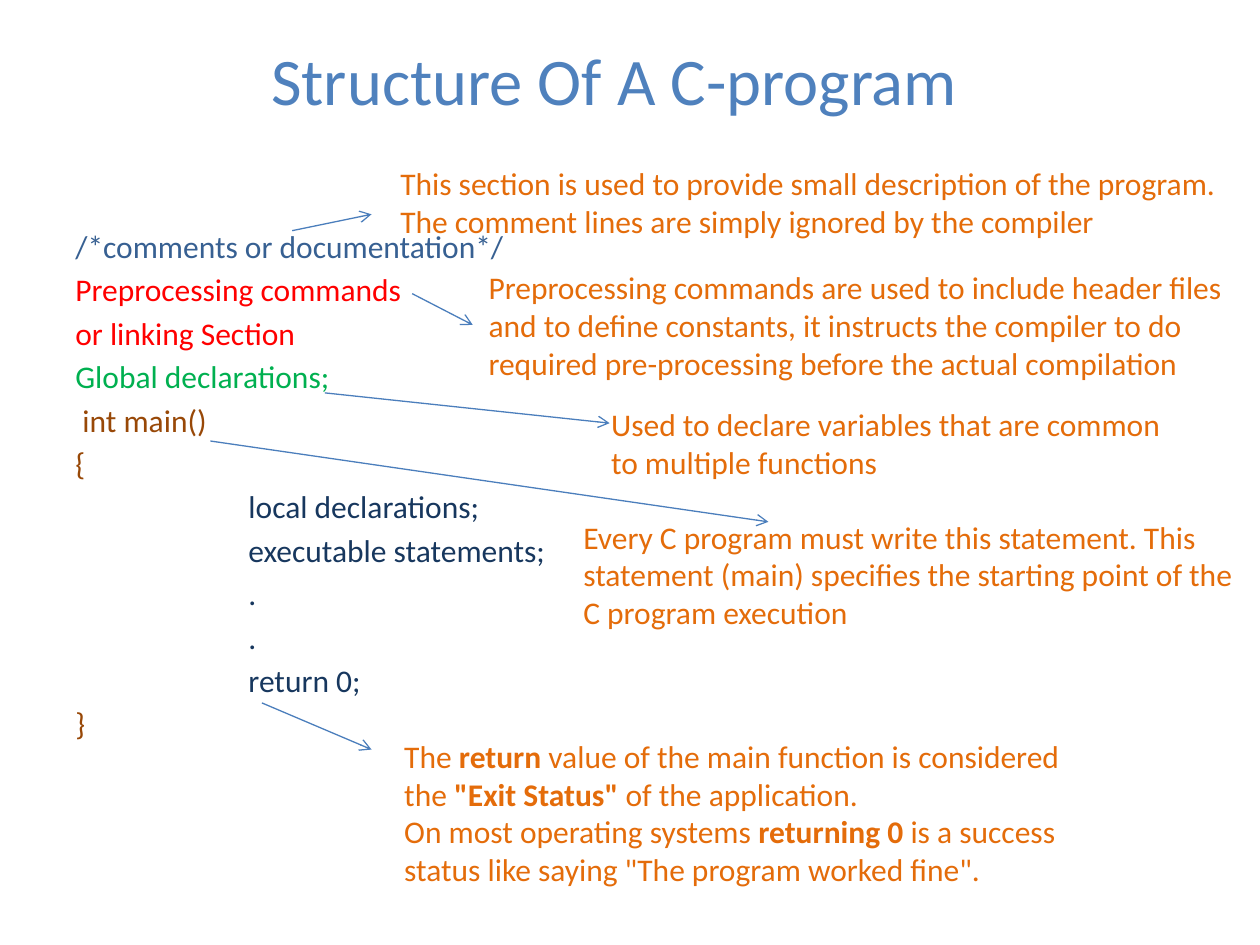
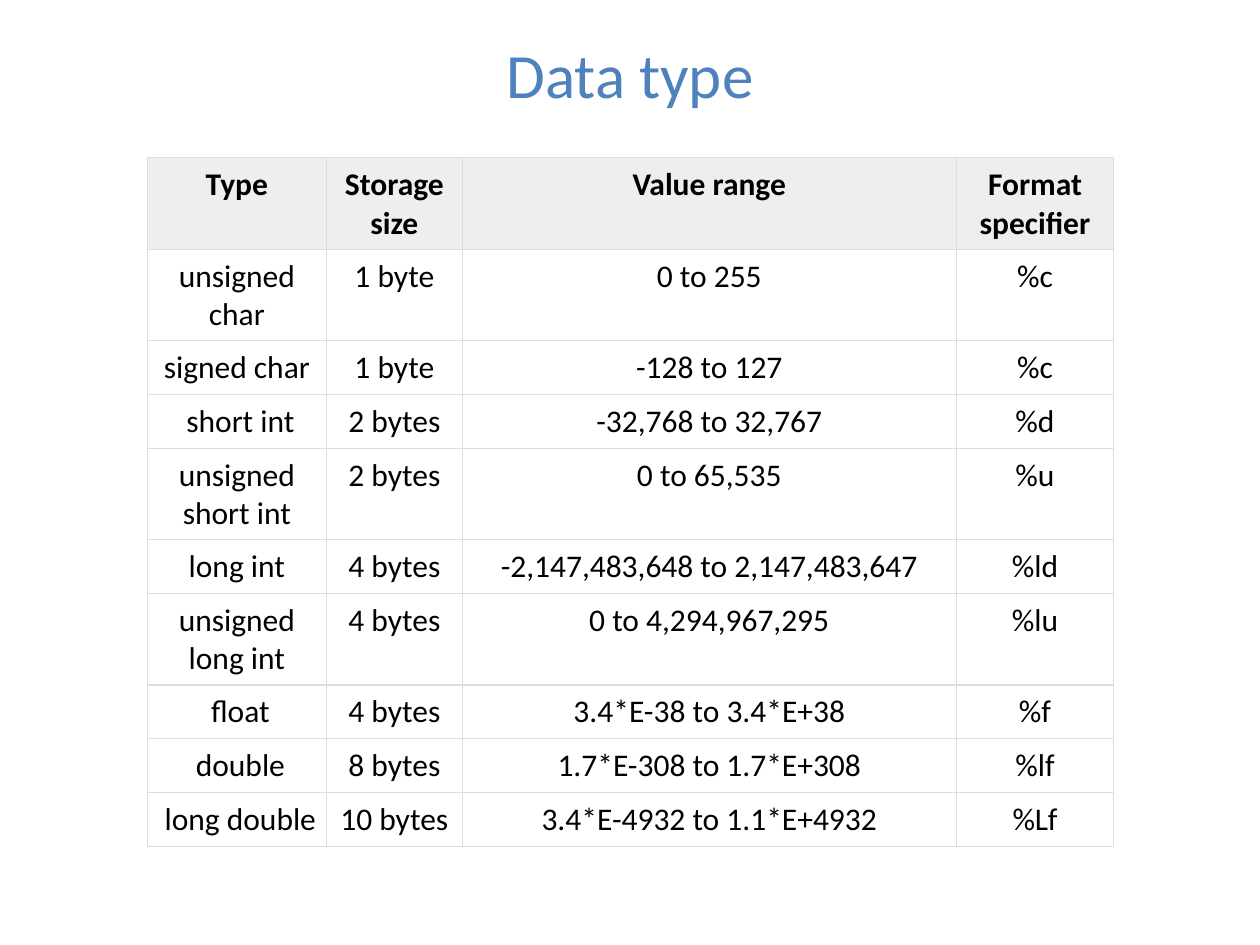
from dataclasses import dataclass
from lxml.etree import SubElement
from pptx import Presentation
from pptx.dml.color import RGBColor
from pptx.enum.shapes import MSO_CONNECTOR
from pptx.enum.text import MSO_ANCHOR, PP_ALIGN
from pptx.oxml.ns import qn
from pptx.util import Cm, Pt


@dataclass(frozen=True)
class Theme:
    font: str = "Calibri"
    body: int = 18
    title: str = "4F81BD"
    note: str = "E46C0A"
    arrow: str = "4B7EBC"
    doc: str = "376092"
    link: str = "FF0000"
    scope: str = "00B050"
    main: str = "984807"
    local: str = "17375E"
    ink: str = "000000"
    head: str = "EEEEEE"
    grid: str = "DDDDDD"
    line: float = 0.75


THEME = Theme()

# Code lines: text, colour, nested in the main block
CODE = [
    ("/*comments or documentation*/", THEME.doc, False),
    ("Preprocessing commands", THEME.link, False),
    ("or linking Section", THEME.link, False),
    ("Global declarations;", THEME.scope, False),
    (" int main()", THEME.main, False),
    ("{", THEME.main, False),
    ("local declarations;", THEME.local, True),
    ("executable statements;", THEME.local, True),
    (".", THEME.local, True),
    (".", THEME.local, True),
    ("return 0;", THEME.local, True),
    ("}", THEME.main, False),
]

# Notes: arrow ends, text box, paragraphs with **bold** parts
NOTES = [
    ((5.89, 4.65, 7.49, 4.32), (7.82, 3.18, 17.07, 1.8),
     ["This section is used to provide small description of the program. "
      "The comment lines are simply ignored by the compiler"]),
    ((8.31, 5.92, 9.53, 6.55), (9.6, 5.28, 15.8, 2.57),
     ["Preprocessing commands are used to include header files and to define "
      "constants, it instructs the compiler to do required pre-processing "
      "before the actual compilation"]),
    ((6.55, 7.92, 12.29, 8.53), (12.07, 8.05, 11.68, 1.8),
     ["Used to declare variables that are common to multiple functions"]),
    ((4.24, 8.89, 15.49, 10.52), (11.51, 10.31, 13.89, 2.57),
     ["Every C program must write this statement. This statement (main) "
      "specifies the starting point of the C program execution"]),
    ((5.28, 14.17, 7.49, 15.11), (7.9, 14.73, 14.2, 3.33),
     ["The **return**\u00a0value of the main function is considered the "
      "**\"Exit Status\" **of the application. ",
      "On most operating systems\u00a0**returning 0**\u00a0is a success status "
      "like saying \"The program worked fine\"."]),
]

TYPES = [
    ("Type", "Storage size", "Value range", "Format specifier"),
    ("unsigned char", "1 byte", "0 to 255", "%c"),
    ("signed char", "1 byte", "-128 to 127", "%c"),
    (" short int", "2 bytes", "-32,768 to 32,767", "%d"),
    ("unsigned short int", "2 bytes", "0 to 65,535", "%u"),
    ("long int", "4 bytes", "-2,147,483,648 to 2,147,483,647", "%ld"),
    ("unsigned long int", "4 bytes", "0 to 4,294,967,295", "%lu"),
    (" float", "4 bytes", "3.4*E-38 to 3.4*E+38", "%f"),
    (" double", "8 bytes", "1.7*E-308 to 1.7*E+308", "%lf"),
    (" long double", "10 bytes", "3.4*E-4932 to 1.1*E+4932", "%Lf"),
]
COLS = [3.61, 2.74, 9.96, 3.17]
ROWS = [1.27, 1.12, 1.02, 1.02, 1.12, 1.02, 1.07, 1.07, 1.07, 1.07]


def style(run, color, size=THEME.body, bold=False):
    font = run.font
    font.name, font.size, font.bold = THEME.font, Pt(size), bold
    font.color.rgb = RGBColor.from_string(color)


def add_box(slide, area):
    box = slide.shapes.add_textbox(*map(Cm, area))
    box.text_frame.word_wrap = True
    return box.text_frame


def add_title(slide, text, area, size):
    frame = add_box(slide, area)
    frame.vertical_anchor = MSO_ANCHOR.MIDDLE
    frame.text = text
    para = frame.paragraphs[0]
    para.alignment = PP_ALIGN.CENTER
    style(para.runs[0], THEME.title, size)


def add_code(slide, lines, area):
    frame = add_box(slide, area)
    frame.text = "\n".join(text for text, _, _ in lines)
    for para, (_, color, nested) in zip(frame.paragraphs, lines):
        para.space_before = Pt(3.2)
        if nested:
            para._p.get_or_add_pPr().set("marL", str(Cm(3.49)))
        style(para.runs[0], color)


def add_note(slide, paras, area):
    frame = add_box(slide, area)
    for i, text in enumerate(paras):
        para = frame.add_paragraph() if i else frame.paragraphs[0]
        for j, part in enumerate(text.split("**")):
            run = para.add_run()
            run.text = part
            style(run, THEME.note, bold=j % 2 == 1)


def add_arrow(slide, ends):
    arrow = slide.shapes.add_connector(MSO_CONNECTOR.STRAIGHT, *map(Cm, ends))
    arrow.line.color.rgb = RGBColor.from_string(THEME.arrow)
    arrow.line.width = Pt(THEME.line)
    SubElement(arrow.line._get_or_add_ln(), qn("a:tailEnd"), type="arrow")
    SubElement(arrow._element.spPr, qn("a:effectLst"))


def add_edges(cell):
    props = cell._tc.get_or_add_tcPr()
    for side in ("lnL", "lnR", "lnT", "lnB"):
        edge = SubElement(props, qn("a:" + side), w=str(Pt(THEME.line)))
        fill = SubElement(edge, qn("a:solidFill"))
        SubElement(fill, qn("a:srgbClr"), val=THEME.grid)


def fill_cell(cell, text, head):
    cell.text_frame.text = text
    cell.margin_left = cell.margin_right = Cm(0.16)
    cell.margin_top = cell.margin_bottom = Cm(0.16)
    para = cell.text_frame.paragraphs[0]
    para.alignment = PP_ALIGN.CENTER
    style(para.runs[0], THEME.ink, bold=head)
    add_edges(cell)
    if head:
        cell.fill.solid()
        cell.fill.fore_color.rgb = RGBColor.from_string(THEME.head)
    else:
        cell.fill.background()


def add_grid(slide, data, area):
    frame = slide.shapes.add_table(len(data), len(data[0]), *map(Cm, area))
    table = frame.table
    table.first_row = table.horz_banding = False
    for col, width in zip(table.columns, COLS):
        col.width = Cm(width)
    for i, (row, height) in enumerate(zip(table.rows, ROWS)):
        row.height = Cm(height)
        for cell, text in zip(row.cells, data[i]):
            fill_cell(cell, text, i == 0)
    frame.height = Cm(area[3])


def main():
    deck = Presentation()
    deck.slide_width, deck.slide_height = Cm(25.4), Cm(19.05)
    blank = deck.slide_layouts[6]

    # Program structure with a note for each part
    slide = deck.slides.add_slide(blank)
    add_title(slide, "Structure Of A C-program", (1.27, 0.66, 22.23, 1.88), 38)
    add_code(slide, CODE, (1.27, 4.45, 22.86, 12.57))
    for ends, area, paras in NOTES:
        add_arrow(slide, ends)
        add_note(slide, paras, area)

    # Table of data types
    slide = deck.slides.add_slide(blank)
    add_title(slide, "Data type", (1.27, 0, 22.86, 2.97), 36)
    add_grid(slide, TYPES, (2.97, 3.18, 19.48, 13.61))

    deck.save("out.pptx")


main()
